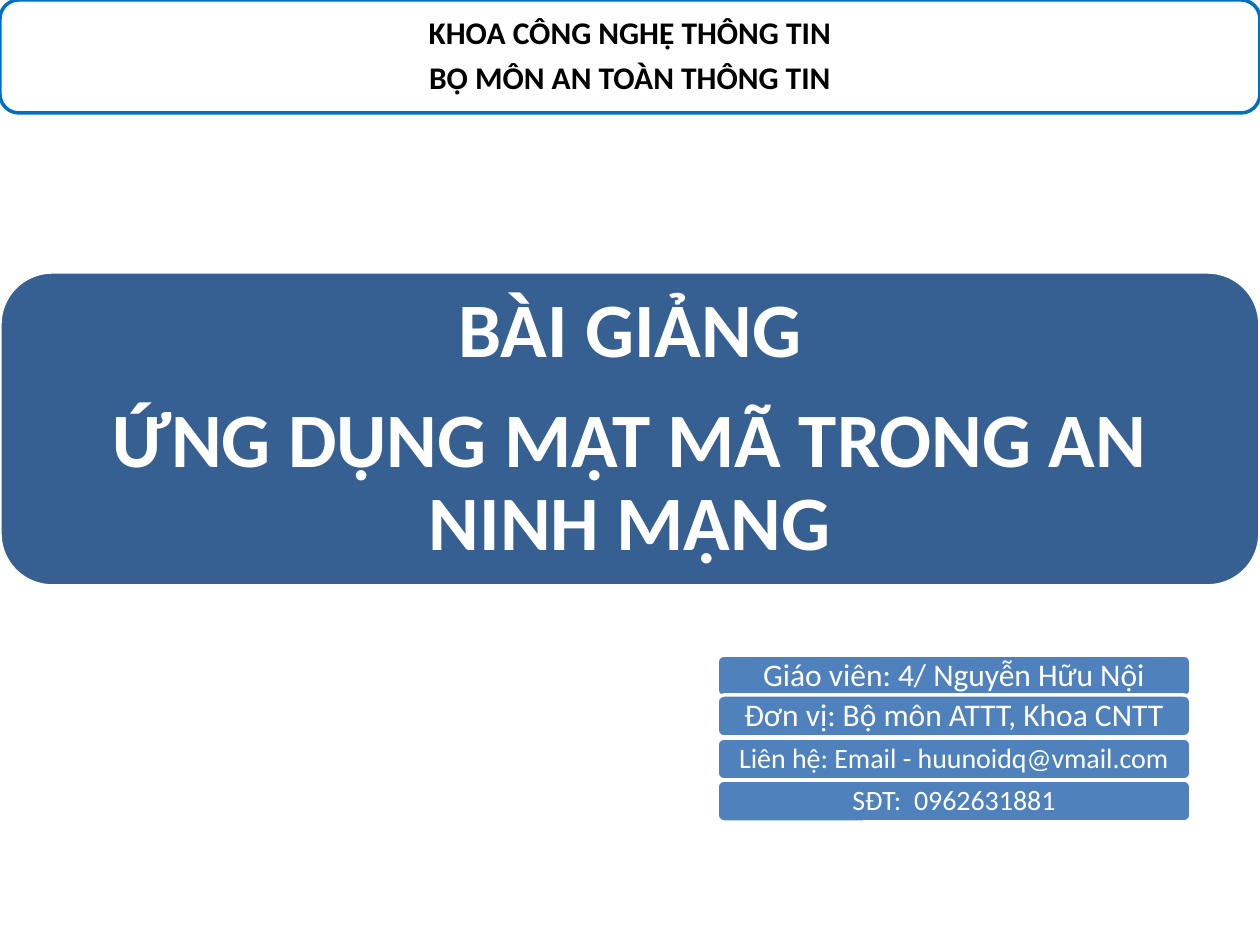
from dataclasses import dataclass

from pptx import Presentation
from pptx.dml.color import RGBColor
from pptx.enum.shapes import MSO_SHAPE
from pptx.enum.text import MSO_ANCHOR, PP_ALIGN
from pptx.util import Emu, Pt

ROUNDED = MSO_SHAPE.ROUNDED_RECTANGLE
MIDDLE = MSO_ANCHOR.MIDDLE
CENTER = PP_ALIGN.CENTER

PX_PER_INCH = 126
SLIDE_WIDTH, SLIDE_HEIGHT = 1260, 945
BLANK_LAYOUT = 6


@dataclass(frozen=True)
class Theme:
    font: str = "Calibri"
    white: str = "FFFFFF"
    black: str = "000000"
    header_line: str = "0070C0"
    title_fill: str = "376092"
    contact_fill: str = "4F81BD"
    title_size: int = 44
    large_size: int = 18
    small_size: int = 16
    line_width: int = 2
    line_spacing: float = 0.9
    space_after: float = 0.35


THEME = Theme()


def px(length):
    return Emu(round(length * 914400 / PX_PER_INCH))


def color(value):
    return RGBColor.from_string(value)


def add_panel(slide, box, fill, line=THEME.white):
    shape = slide.shapes.add_shape(ROUNDED, *map(px, box))
    shape.shadow.inherit = False
    shape.fill.solid()
    shape.fill.fore_color.rgb = color(fill)
    shape.line.color.rgb = color(line)
    shape.line.width = Pt(THEME.line_width)
    return shape


def write_lines(shape, lines, size, margins, text_color=THEME.white, bold=False):
    """Write one paragraph per line; margins are (horizontal, vertical)."""
    frame = shape.text_frame
    frame.word_wrap = True
    frame.vertical_anchor = MIDDLE
    frame.margin_left = frame.margin_right = px(margins[0])
    frame.margin_top = frame.margin_bottom = px(margins[1])
    frame.text = "\n".join(lines)
    for paragraph in frame.paragraphs:
        paragraph.alignment = CENTER
        paragraph.line_spacing = THEME.line_spacing
        paragraph.space_after = Pt(size * THEME.space_after)
        paragraph.font.name = THEME.font
        paragraph.font.size = Pt(size)
        paragraph.font.bold = bold
        paragraph.font.color.rgb = color(text_color)


def add_title(slide):
    panel = add_panel(slide, (0, 272, SLIDE_WIDTH, 314), THEME.title_fill)
    lines = ["BÀI GIẢNG", "ỨNG DỤNG MẬT MÃ TRONG AN NINH MẠNG"]
    write_lines(panel, lines, THEME.title_size, (23, 23), bold=True)


def add_contacts(slide):
    contacts = [
        (655, "Giáo viên: 4/ Nguyễn Hữu Nội", THEME.large_size, 5),
        (695, "Đơn vị: Bộ môn ATTT, Khoa CNTT", THEME.large_size, 5),
        (738, "Liên hệ: Email - huunoidq@vmail.com", THEME.small_size, 4),
        (780, "SĐT:  0962631881", THEME.small_size, 4),
    ]
    for top, text, size, margin in contacts:
        panel = add_panel(slide, (717, top, 474, 42), THEME.contact_fill)
        write_lines(panel, [text], size, (9, margin))


def add_header(slide):
    panel = add_panel(slide, (0, 0, SLIDE_WIDTH, 113), THEME.white, THEME.header_line)
    lines = ["KHOA CÔNG NGHỆ THÔNG TIN", "BỘ MÔN AN TOÀN THÔNG TIN"]
    write_lines(panel, lines, THEME.large_size, (9, 9), THEME.black, bold=True)


def main():
    presentation = Presentation()
    presentation.slide_width = px(SLIDE_WIDTH)
    presentation.slide_height = px(SLIDE_HEIGHT)
    slide = presentation.slides.add_slide(presentation.slide_layouts[BLANK_LAYOUT])
    add_title(slide)
    add_contacts(slide)
    add_header(slide)
    presentation.save("out.pptx")


if __name__ == "__main__":
    main()
